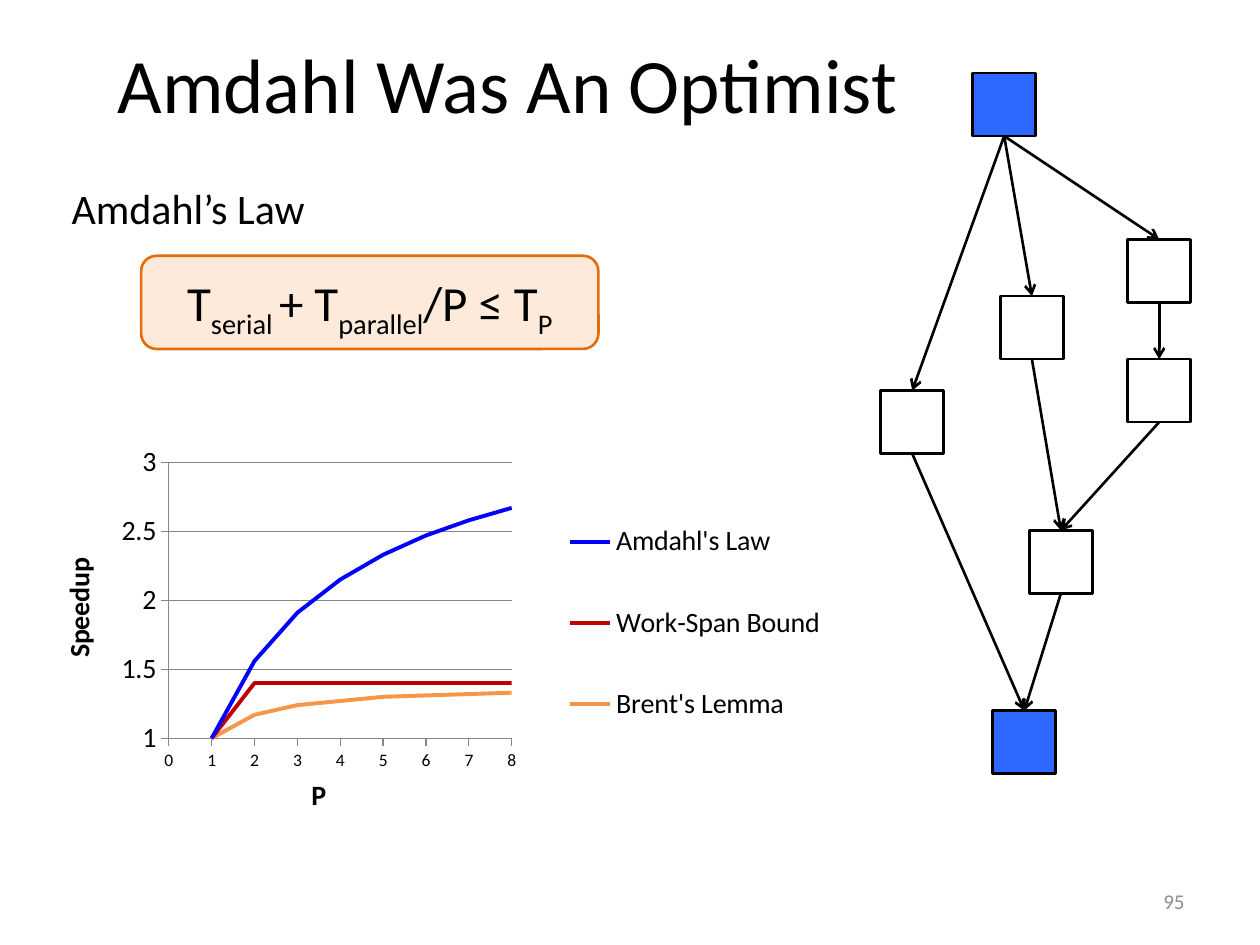
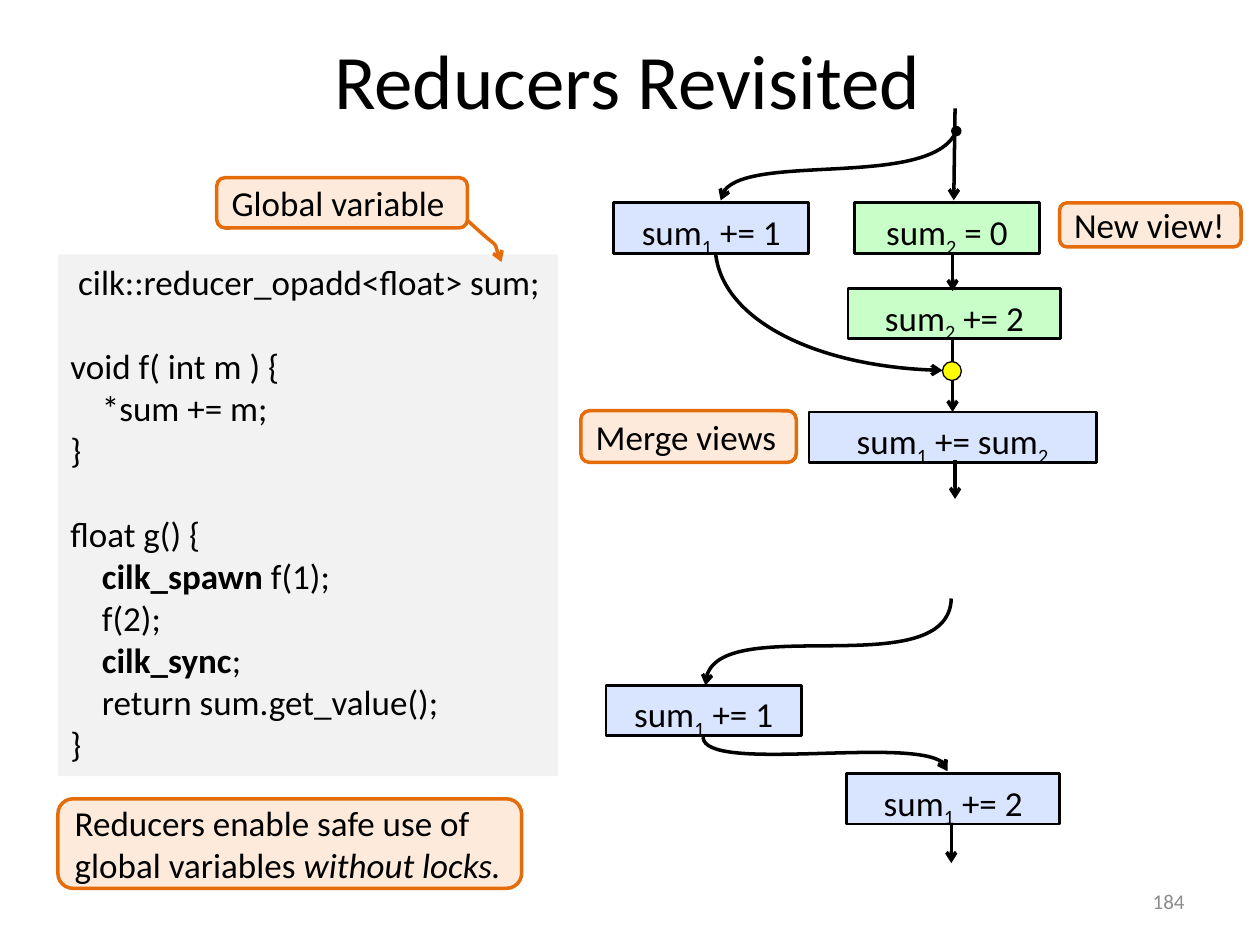
from lxml import etree
from pptx import Presentation
from pptx.chart.data import XyChartData
from pptx.dml.color import RGBColor
from pptx.enum import chart as charts, shapes, text
from pptx.oxml import ns
from pptx.util import Inches, Pt

BLACK = RGBColor(0x00, 0x00, 0x00)
GREY = RGBColor(0x8C, 0x8C, 0x8C)
GRID = RGBColor(0x86, 0x86, 0x86)
CODE_FILL = RGBColor(0xF2, 0xF2, 0xF2)
CALLOUT_FILL = RGBColor(0xFD, 0xEA, 0xDA)
ORANGE = RGBColor(0xE4, 0x6C, 0x0A)
TASK_BLUE = RGBColor(0x2D, 0x68, 0xFF)
VIEW_BLUE = RGBColor(0xD9, 0xE4, 0xFF)
VIEW_GREEN = RGBColor(0xC8, 0xFF, 0xC8)
YELLOW = RGBColor(0xFF, 0xFF, 0x00)
AMDAHL = RGBColor(0x00, 0x00, 0xFF)
WORK_SPAN = RGBColor(0xC0, 0x00, 0x00)
BRENT = RGBColor(0xF7, 0x96, 0x46)

SHAPE = shapes.MSO_SHAPE
ALIGN = text.PP_ALIGN
ANCHOR = text.MSO_ANCHOR
TASK = 0.5

# Run attributes for accented pieces of text
SUBSCRIPT = ("baseline", "-25000")
BOLD = ("b", "1")
ITALIC = ("i", "1")


def inches(values):
    return [Inches(value) for value in values]


def set_layout(element, index, target=None, **fractions):
    """Place a chart part by fractions of the chart area."""
    for old in element.findall(ns.qn("c:layout")):
        element.remove(old)
    layout = etree.Element(ns.qn("c:layout"))
    manual = etree.SubElement(layout, ns.qn("c:manualLayout"))
    settings = {"layoutTarget": target} if target else {}
    settings.update(xMode="edge", yMode="edge", **fractions)
    for name, value in settings.items():
        etree.SubElement(manual, ns.qn(f"c:{name}")).set("val", str(value))
    element.insert(index, layout)


class Deck:
    font = "Calibri"

    def __init__(self):
        self.presentation = Presentation()
        self.presentation.slide_width = Inches(10)
        self.presentation.slide_height = Inches(7.5)
        self.slide = None

    def new_slide(self, title, title_box, number):
        layout = self.presentation.slide_layouts[5]
        self.slide = self.presentation.slides.add_slide(layout)
        heading = self.slide.shapes.title
        heading.left, heading.top, heading.width, heading.height = inches(title_box)
        self.fill_text(heading, [[title]], 44, ALIGN.CENTER, ANCHOR.MIDDLE)
        self.label((7.17, 6.95, 2.33, 0.4), number, 12, GREY, ALIGN.RIGHT, ANCHOR.MIDDLE)

    def fill_text(self, shape, lines, size, align=ALIGN.LEFT, anchor=ANCHOR.TOP,
                  color=BLACK, accent=None):
        """Each line alternates plain pieces with accented pieces."""
        frame = shape.text_frame
        frame.word_wrap = True
        frame.vertical_anchor = anchor
        for index, pieces in enumerate(lines):
            paragraph = frame.add_paragraph() if index else frame.paragraphs[0]
            paragraph.alignment = align
            self.style(paragraph.font, size, color)
            for place, piece in enumerate(pieces):
                run = paragraph.add_run()
                run.text = piece
                if place % 2:
                    run.font._element.set(*accent)
        return frame

    def style(self, font, size, color=BLACK):
        font.name, font.size = self.font, Pt(size)
        font.color.rgb = color

    def label(self, box, words, size, color=BLACK, align=ALIGN.LEFT, anchor=ANCHOR.TOP):
        shape = self.slide.shapes.add_textbox(*inches(box))
        self.fill_text(shape, [[words]], size, align, anchor, color)

    def box(self, kind, box, fill=None, line=BLACK, width=1.6):
        shape = self.slide.shapes.add_shape(kind, *inches(box))
        shape.shadow.inherit = False
        if fill is None:
            shape.fill.background()
        else:
            shape.fill.solid()
            shape.fill.fore_color.rgb = fill
        if line is None:
            shape.line.fill.background()
        else:
            shape.line.color.rgb = line
            shape.line.width = Pt(width)
        return shape

    def callout(self, box, *pieces):
        shape = self.box(SHAPE.ROUNDED_RECTANGLE, box, CALLOUT_FILL, ORANGE, 2)
        self.fill_text(shape, [pieces], 20, anchor=ANCHOR.MIDDLE, accent=ITALIC)

    def view(self, box, fill, *pieces):
        shape = self.box(SHAPE.RECTANGLE, box, fill)
        frame = self.fill_text(shape, [pieces], 20, ALIGN.CENTER, accent=SUBSCRIPT)
        frame.margin_top = Inches(0.06)

    def ends(self, shape, color, width, head=None):
        shape.line.color.rgb = color
        shape.line.width = Pt(width)
        line = shape.line._get_or_add_ln()
        if head:
            etree.SubElement(line, ns.qn("a:headEnd")).set("type", head)
        etree.SubElement(line, ns.qn("a:tailEnd")).set("type", "arrow")

    def arrow(self, start, end, width=2):
        connector = self.slide.shapes.add_connector(
            shapes.MSO_CONNECTOR.STRAIGHT, *inches(start + end))
        self.ends(connector, BLACK, width)
        etree.SubElement(connector._element.spPr, ns.qn("a:effectLst"))

    def curve(self, start, *controls, color=BLACK, head=None):
        builder = self.slide.shapes.build_freeform(*inches(start))
        builder.add_line_segments([inches(point) for point in controls], close=False)
        shape = builder.convert_to_shape()
        shape.shadow.inherit = False
        shape.fill.background()
        self.ends(shape, color, 2, head)
        # Turn the three segments into one cubic curve
        outline = shape._element.xpath(".//a:path")[0]
        cubic = etree.SubElement(outline, ns.qn("a:cubicBezTo"))
        for segment in outline.findall(ns.qn("a:lnTo")):
            cubic.append(segment[0])
            outline.remove(segment)

    def axis(self, axis, title, size, low, high, step):
        axis.minimum_scale, axis.maximum_scale, axis.major_unit = low, high, step
        axis.major_tick_mark = charts.XL_TICK_MARK.OUTSIDE
        axis.minor_tick_mark = charts.XL_TICK_MARK.NONE
        axis.format.line.color.rgb = GRID
        axis.tick_labels.number_format = "General"
        axis.tick_labels.number_format_is_linked = False
        self.style(axis.tick_labels.font, size)
        paragraph = axis.axis_title.text_frame.paragraphs[0]
        paragraph.text = title
        self.style(paragraph.font, 16)
        paragraph.font.bold = True

    def speedup_chart(self, box, curves):
        data = XyChartData()
        for name, _, speedups in curves:
            series = data.add_series(name)
            for workers, speedup in enumerate(speedups, 1):
                series.add_data_point(workers, speedup)
        chart = self.slide.shapes.add_chart(
            charts.XL_CHART_TYPE.XY_SCATTER_LINES_NO_MARKERS, *inches(box), data).chart
        chart.has_title = False
        self.style(chart.font, 10)
        chart.plots[0].vary_by_categories = False
        for series, (_, color, _) in zip(chart.plots[0].series, curves):
            series.smooth = False
            series.marker.style = charts.XL_MARKER_STYLE.NONE
            series.format.line.color.rgb = color
            series.format.line.width = Pt(2.25)
        self.axis(chart.category_axis, "P", 10, 0, 8, 1)
        self.axis(chart.value_axis, "Speedup", 16, 1, 3, 0.5)
        chart.category_axis.has_major_gridlines = False
        chart.value_axis.has_major_gridlines = True
        chart.value_axis.major_gridlines.format.line.color.rgb = GRID
        chart.has_legend = True
        chart.legend.position = charts.XL_LEGEND_POSITION.RIGHT
        chart.legend.include_in_layout = False
        self.style(chart.legend.font, 16)
        plot_area = chart._chartSpace.chart.plotArea
        set_layout(plot_area, 0, "inner", x=0.15, y=0.05, w=0.43, h=0.73)
        set_layout(chart.legend._element, 1, x=0.63, y=0.09, w=0.36, h=0.77)


def amdahl_slide(deck):
    deck.new_slide("Amdahl Was An Optimist", (0.47, 0.03, 7.12, 1.25), "95")

    # Task graph
    tasks = {"fork": (7.72, 0.58), "right": (8.95, 1.9), "right next": (8.95, 2.85),
             "middle": (7.94, 2.35), "left": (6.99, 3.1), "join": (8.17, 4.21),
             "end": (7.88, 5.64)}
    edges = [("fork", "left"), ("fork", "middle"), ("fork", "right"),
             ("right", "right next"), ("right next", "join"), ("middle", "join"),
             ("left", "end"), ("join", "end")]
    for name, corner in tasks.items():
        fill = TASK_BLUE if name in ("fork", "end") else None
        deck.box(SHAPE.RECTANGLE, corner + (TASK, TASK), fill)
    for source, target in edges:
        (x1, y1), (x2, y2) = tasks[source], tasks[target]
        deck.arrow((x1 + TASK / 2, y1 + TASK), (x2 + TASK / 2, y2), 1.5)

    # Law and formula
    deck.label((0.47, 1.4, 5.7, 0.5), "Amdahl’s Law", 24)
    formula = deck.box(SHAPE.ROUNDED_RECTANGLE, (1.12, 2.03, 3.63, 0.74),
                       CALLOUT_FILL, ORANGE, 1.5)
    frame = deck.fill_text(formula, [["T", "serial ", "+ T", "parallel", "/P ≤ T", "P"]],
                           28, ALIGN.CENTER, accent=SUBSCRIPT)
    frame.margin_top = frame.margin_bottom = Inches(0.1)

    # Speedup bounds
    deck.speedup_chart((0.39, 3.52, 6.33, 3), [
        ("Amdahl's Law", AMDAHL, [1, 1.56, 1.91, 2.15, 2.33, 2.47, 2.58, 2.67]),
        ("Work-Span Bound", WORK_SPAN, [1] + [1.4] * 7),
        ("Brent's Lemma", BRENT, [1, 1.17, 1.24, 1.27, 1.3, 1.31, 1.32, 1.33])])


def reducers_slide(deck):
    deck.new_slide("Reducers Revisited", (0.48, 0, 9, 1.25), "184")

    # Code
    code = [[" cilk::reducer_opadd<float> sum;"],
            ["void f( int m ) {"], ["    *sum += m;"], ["}"],
            ["float g() {"], ["    ", "cilk_spawn ", "f(1);"], ["    f(2);"],
            ["    ", "cilk_sync", ";"], ["    return sum.get_value();"], ["}"]]
    listing = deck.box(SHAPE.RECTANGLE, (0.46, 2.02, 3.97, 4.14), CODE_FILL, None)
    frame = deck.fill_text(listing, code, 20, accent=BOLD)
    frame.word_wrap = False
    for paragraph in frame.paragraphs:
        if paragraph.text.endswith(") {"):
            paragraph.space_before = Pt(24)

    # Callouts
    deck.curve((3.7, 1.74), (3.99, 2.01), (3.89, 1.86), (3.98, 2.08), color=ORANGE)
    deck.callout((1.72, 1.41, 1.99, 0.4), "Global variable")
    deck.callout((0.46, 6.34, 3.68, 0.71),
                 "Reducers enable safe use of global variables ", "without locks.")
    deck.callout((8.41, 1.61, 1.44, 0.35), "New view!")
    deck.callout((4.61, 3.26, 1.71, 0.41), "Merge views")

    # Parallel run with two views
    deck.view((4.87, 1.61, 1.55, 0.4), VIEW_BLUE, "sum", "1", " += 1")
    deck.view((6.78, 1.61, 1.47, 0.4), VIEW_GREEN, "sum", "2", " = 0")
    deck.view((6.73, 2.29, 1.69, 0.4), VIEW_GREEN, "sum", "2", " += 2")
    deck.view((6.42, 3.27, 2.28, 0.4), VIEW_BLUE, "sum", "1", " += sum", "2")
    deck.curve((7.59, 1.04), (7.41, 1.5), (5.74, 1.18), (5.72, 1.59), head="oval")
    deck.curve((5.68, 2.01), (5.73, 2.52), (6.47, 2.92), (7.48, 2.94))
    deck.arrow((7.58, 0.86), (7.57, 1.59))
    for x, top, bottom in [(7.56, 2.01, 2.31), (7.56, 2.7, 3.27), (7.58, 3.65, 3.96)]:
        deck.arrow((x, top), (x, bottom))
    deck.box(SHAPE.OVAL, (7.48, 2.87, 0.15, 0.15), YELLOW, width=0.75)

    # Serial run with one view
    deck.view((4.81, 5.44, 1.55, 0.4), VIEW_BLUE, "sum", "1", " += 1")
    deck.view((6.72, 6.14, 1.69, 0.4), VIEW_BLUE, "sum", "1", " += 2")
    deck.curve((7.55, 4.75), (7.53, 5.43), (5.59, 4.81), (5.6, 5.44))
    deck.curve((5.58, 5.85), (5.59, 6.14), (7.52, 5.79), (7.52, 6.12))
    deck.arrow((7.55, 6.55), (7.55, 6.85))


def main():
    deck = Deck()
    amdahl_slide(deck)
    reducers_slide(deck)
    deck.presentation.save("out.pptx")


if __name__ == "__main__":
    main()
